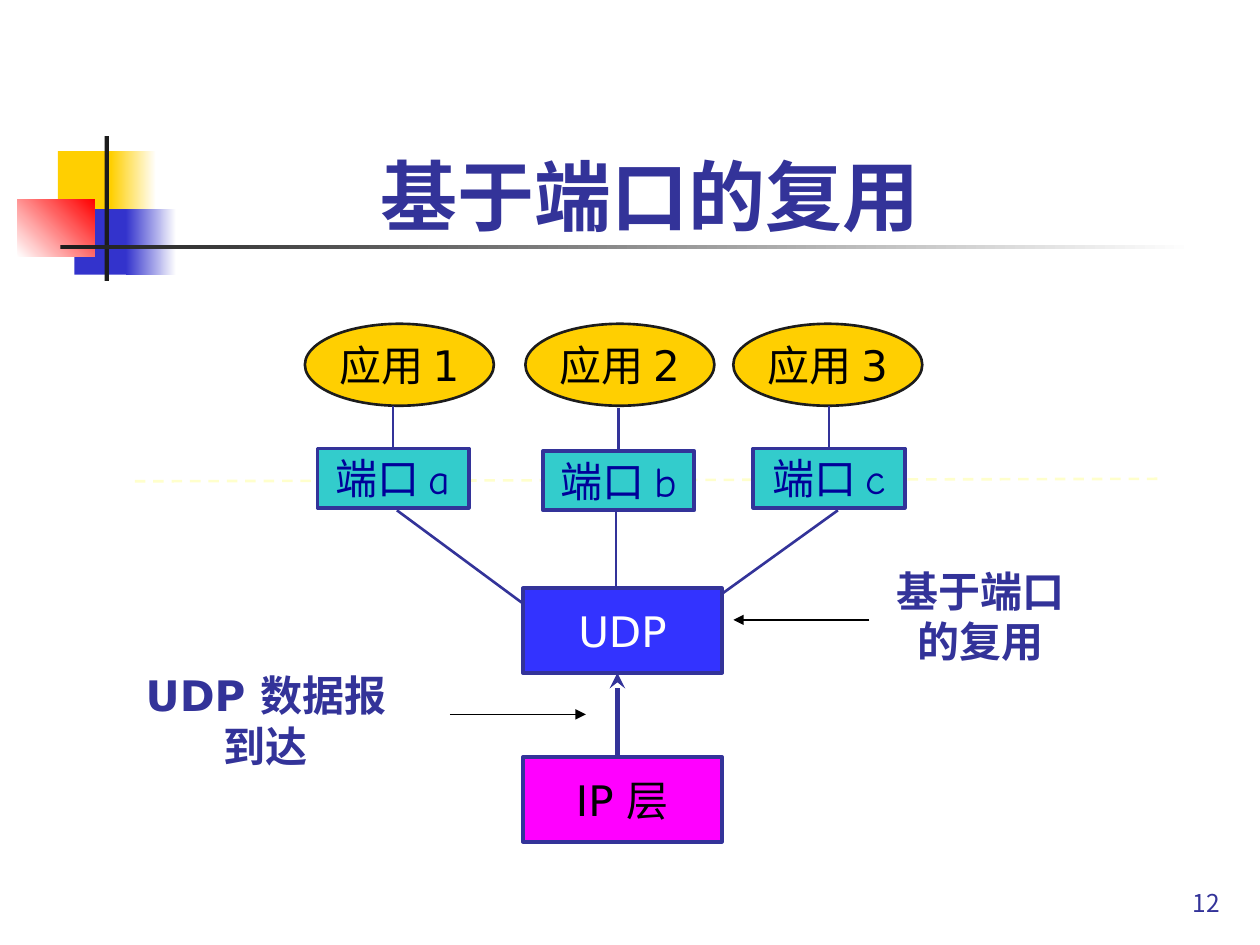
from typing import NamedTuple, Optional

from lxml import etree
from pptx import Presentation
from pptx import util as u
from pptx.dml.color import RGBColor
from pptx.enum import dml, shapes, text
from pptx.oxml.ns import qn

COLUMNS, ROWS = 100, 75
CELL = u.Inches(0.1)
INDIGO, BLACK, WHITE, INK = "333399", "000000", "FFFFFF", "1C1C1C"
GOLD, BLUE = "FFCF01", "3333CC"
SANS, CJK, COMIC = "DejaVu Sans", "Noto Sans CJK JP", "Comic Neue"
RECTANGLE, OVAL = shapes.MSO_SHAPE.RECTANGLE, shapes.MSO_SHAPE.OVAL
CENTER, RIGHT = text.PP_ALIGN.CENTER, text.PP_ALIGN.RIGHT
MIDDLE, BOTTOM = text.MSO_ANCHOR.MIDDLE, text.MSO_ANCHOR.BOTTOM


class Area(NamedTuple):
    """Place on the grid, in columns and rows."""
    column: float
    row: float
    columns: float
    rows: float


class Style(NamedTuple):
    color: str
    font: str = SANS
    size: float = 24
    bold: bool = False
    align: text.PP_ALIGN = CENTER
    anchor: text.MSO_ANCHOR = MIDDLE


class Ornament(NamedTuple):
    area: Area
    start: str
    end: Optional[str] = None
    angle: float = 0


class Node(NamedTuple):
    label: str
    area: Area
    fill: str
    style: Style
    outline: str = INDIGO
    weight: float = 2.25
    preset: shapes.MSO_SHAPE = RECTANGLE
    margin: float = 1


class Link(NamedTuple):
    start: tuple
    end: tuple
    color: str = INDIGO
    weight: float = 1.5
    arrow: Optional[str] = None
    dashed: bool = False


def cells(*counts: float) -> list:
    return [round(count * CELL) for count in counts]


def rgb(value: str) -> RGBColor:
    return RGBColor.from_string(value)


def write(frame, lines: list, style: Style, wrap: bool = True) -> None:
    frame.word_wrap = wrap
    frame.vertical_anchor = style.anchor
    for index, line in enumerate(lines):
        paragraph = frame.add_paragraph() if index else frame.paragraphs[0]
        paragraph.text = line
        paragraph.alignment = style.align
        font = paragraph.font
        font.name, font.size, font.bold = style.font, u.Pt(style.size), style.bold
        font.color.rgb = rgb(style.color)


def draw_text(slide, area: Area, lines: list, style: Style) -> None:
    write(slide.shapes.add_textbox(*cells(*area)).text_frame, lines, style)


def draw_ornament(slide, ornament: Ornament) -> None:
    block = slide.shapes.add_shape(RECTANGLE, *cells(*ornament.area))
    block.shadow.inherit = False
    block.line.fill.background()
    if ornament.end is None:
        block.fill.solid()
        block.fill.fore_color.rgb = rgb(ornament.start)
        return
    block.fill.gradient()
    block.fill.gradient_angle = ornament.angle
    for stop, color in zip(block.fill.gradient_stops, (ornament.start, ornament.end)):
        stop.color.rgb = rgb(color)


def draw_node(slide, node: Node):
    box = slide.shapes.add_shape(node.preset, *cells(*node.area))
    box.shadow.inherit = False
    box.fill.solid()
    box.fill.fore_color.rgb = rgb(node.fill)
    box.line.color.rgb = rgb(node.outline)
    box.line.width = u.Pt(node.weight)
    frame = box.text_frame
    frame.margin_left, frame.margin_top = cells(node.margin, node.margin / 2)
    frame.margin_right, frame.margin_bottom = frame.margin_left, frame.margin_top
    write(frame, [node.label], node.style, wrap=False)
    return box


def draw_link(slide, link: Link):
    line = slide.shapes.add_connector(
        shapes.MSO_CONNECTOR.STRAIGHT, *cells(*link.start, *link.end))
    line.line.color.rgb = rgb(link.color)
    line.line.width = u.Pt(link.weight)
    if link.dashed:
        line.line.dash_style = dml.MSO_LINE.DASH
    properties = line._element.spPr
    if link.arrow:
        etree.SubElement(properties.find(qn("a:ln")), qn("a:tailEnd"), type=link.arrow)
    etree.SubElement(properties, qn("a:effectLst"))
    return line


ORNAMENTS = [
    Ornament(Area(4.6, 12, 4.8, 5.2), GOLD),
    Ornament(Area(8.8, 12, 3.6, 5.2), GOLD, WHITE),
    Ornament(Area(5.9, 16.6, 4.6, 5.2), BLUE),
    Ornament(Area(10, 16.6, 4, 5.2), BLUE, WHITE),
    Ornament(Area(1.4, 15.8, 6.1, 4.6), WHITE, "FF0000", 45),
    Ornament(Area(8.3, 10.8, 0.35, 11.5), INK),
    Ornament(Area(4.8, 19.45, 90, 0.35), INK, WHITE),
]
PORT_STYLE = Style("000099", COMIC)
PORTS = [Node(f"端口 {name}", Area(column, row, 12, 4.7), "33CCCC", PORT_STYLE)
         for name, column, row in (("a", 25.2, 35.6), ("b", 43.1, 35.8), ("c", 59.8, 35.6))]
APPLICATIONS = [Node(f"应用 {number}", Area(column, 25.7, 15, 6.5), GOLD, Style(BLACK),
                     INK, 1.5, OVAL, 0)
                for number, column in enumerate((24.2, 41.7, 58.2), 1)]
IP_LAYER = Node("IP 层", Area(41.5, 60.1, 15.8, 6.7), "FF00FF", Style(BLACK))
UDP = Node("UDP", Area(41.5, 46.7, 15.8, 6.7), "3333FF", Style(WHITE))
PORT_BOUNDARY = Link((10.7, 38.2), (92.1, 38), "FFFFCC", dashed=True)
UDP_LINKS = [
    Link((49, 60), (49, 53.4), weight=3, arrow="stealth"),
    Link((43, 49), (31.5, 40.5)),
    Link((54.7, 49), (66.5, 40.5)),
    Link((48.9, 49), (48.9, 40.3)),
]
NOTE_ARROWS = [
    Link((69, 49.2), (58.2, 49.2), BLACK, 0.75, "triangle"),
    Link((35.7, 56.7), (46.5, 56.7), BLACK, 0.75, "triangle"),
]


def draw_diagram(slide) -> None:
    draw_link(slide, PORT_BOUNDARY)
    draw_node(slide, IP_LAYER)
    ports = [draw_node(slide, port) for port in PORTS]
    for link in UDP_LINKS + NOTE_ARROWS:
        draw_link(slide, link)
    draw_node(slide, UDP)
    for application, port, port_box in zip(APPLICATIONS, PORTS, ports):
        draw_node(slide, application)
        middle = port.area.column + port.area.columns / 2
        top = port.area.row
        link = draw_link(slide, Link((middle, top - 3.4), (middle, top)))
        link.end_connect(port_box, 0)
    note = Style(INDIGO, bold=True)
    draw_text(slide, Area(69.9, 45.1, 15.8, 7.5), ["基于端口的复用"], note)
    draw_text(slide, Area(9, 53.4, 24.2, 7.5), ["UDP 数据报", "到达"], note)


def main() -> None:
    deck = Presentation()
    deck.slide_width, deck.slide_height = cells(COLUMNS, ROWS)
    slide = deck.slides.add_slide(deck.slide_layouts[6])
    for ornament in ORNAMENTS:
        draw_ornament(slide, ornament)
    draw_text(slide, Area(9, 3.6, 85.2, 16), ["基于端口的复用"],
              Style(INDIGO, CJK, 44, True, anchor=BOTTOM))
    draw_diagram(slide)
    draw_text(slide, Area(77, 68.3, 20.8, 5), ["12"],
              Style(INDIGO, CJK, 14, align=RIGHT, anchor=BOTTOM))
    deck.save("out.pptx")


if __name__ == "__main__":
    main()
